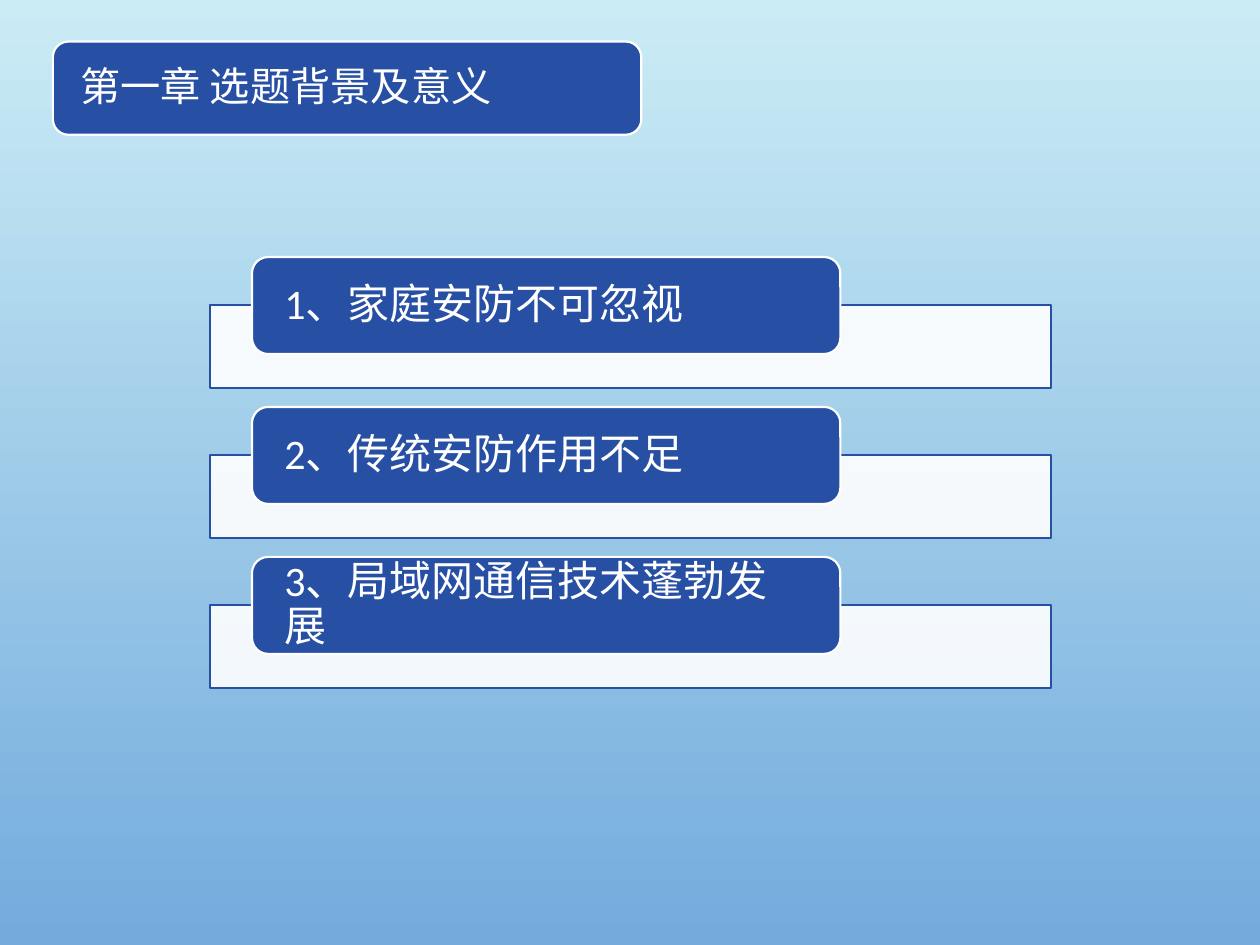
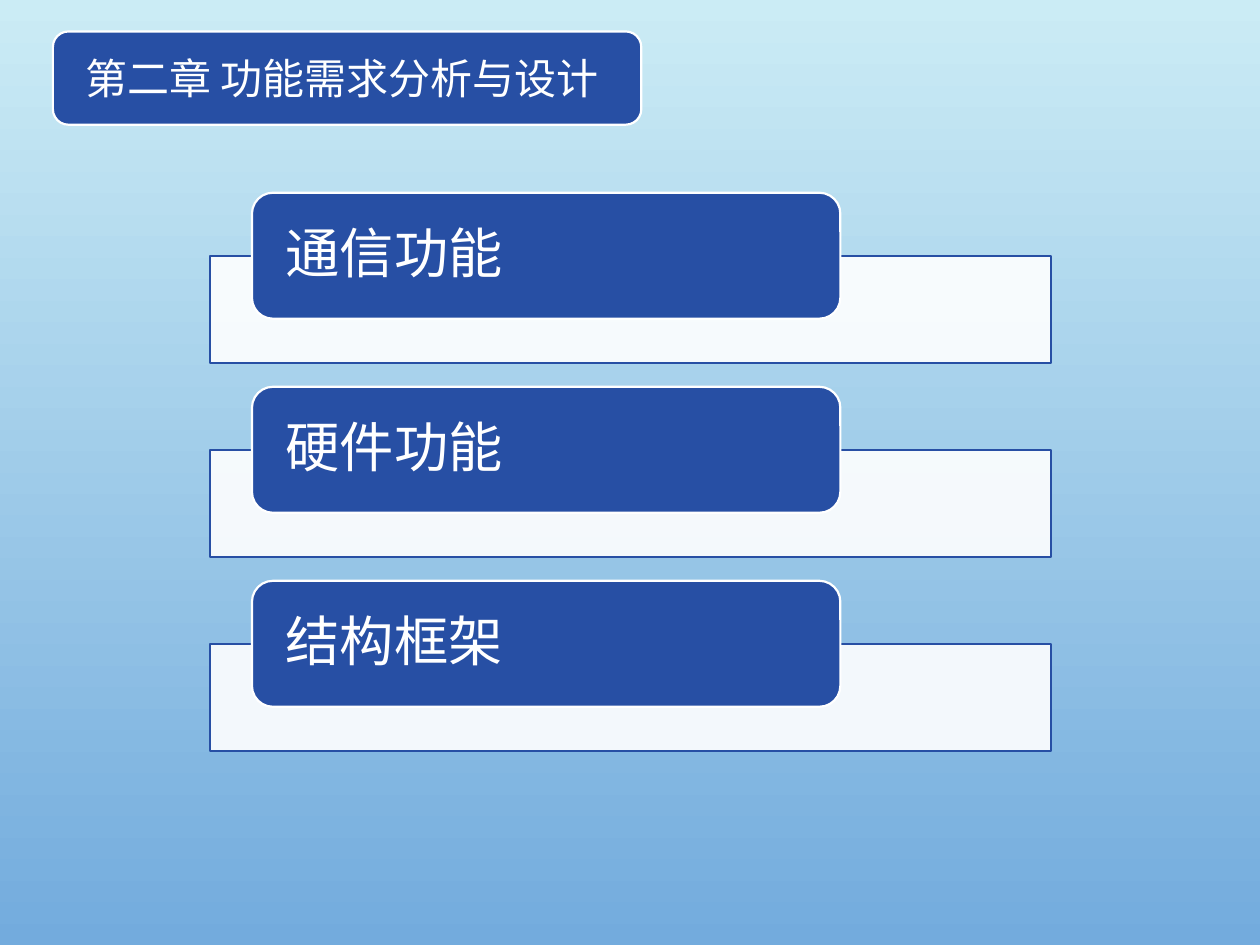
from lxml.etree import SubElement
from pptx import Presentation
from pptx.dml.color import RGBColor
from pptx.enum.shapes import MSO_SHAPE
from pptx.enum.text import MSO_ANCHOR, PP_ALIGN
from pptx.oxml.ns import qn
from pptx.util import Inches, Pt

SKY_TOP = RGBColor(0xCB, 0xEC, 0xF5)
SKY_BOTTOM = RGBColor(0x73, 0xAB, 0xDD)
BLUE = RGBColor(0x27, 0x4F, 0xA4)
WHITE = RGBColor(0xFF, 0xFF, 0xFF)

FONT = "Calibri"
LABEL_WIDTH = 4.67
INSET = 0.22

CHAPTERS = [
    {
        "title": "第一章 选题背景及意义",
        "title_top": 0.33, "title_size": 23, "title_inset": 0.18, "title_spacing": 0.9,
        "items": ["1、家庭安防不可忽视", "2、传统安防作用不足", "3、局域网通信技术蓬勃发展"],
        "first_top": 2.04, "step": 1.19, "label_height": 0.77,
        "bar_offset": 0.38, "bar_height": 0.66, "item_size": 24,
    },
    {
        "title": "第二章 功能需求分析与设计",
        "title_top": 0.25, "title_size": 24, "title_inset": 0.22, "title_spacing": 1.0,
        "items": ["通信功能", "硬件功能", "结构框架"],
        "first_top": 1.53, "step": 1.54, "label_height": 1,
        "bar_offset": 0.5, "bar_height": 0.85, "item_size": 31,
    },
]


def add_box(page, kind, left, top, width, height, fill, line):
    box = page.shapes.add_shape(kind, Inches(left), Inches(top), Inches(width), Inches(height))
    box.shadow.inherit = False
    box.fill.solid()
    box.fill.fore_color.rgb = fill
    box.line.color.rgb = line
    box.line.width = Pt(1.25)
    return box


def add_label(page, text, left, top, height, size, inset=INSET, spacing=0.9):
    label = add_box(page, MSO_SHAPE.ROUNDED_RECTANGLE, left, top, LABEL_WIDTH, height, BLUE, WHITE)
    frame = label.text_frame
    frame.text = text
    frame.word_wrap = True
    frame.vertical_anchor = MSO_ANCHOR.MIDDLE
    frame.margin_left = Inches(inset)
    frame.margin_right = Inches(INSET)
    frame.margin_top = frame.margin_bottom = 0
    para = frame.paragraphs[0]
    para.alignment = PP_ALIGN.LEFT
    para.line_spacing = spacing
    span = para.runs[0]
    span.font.name = FONT
    span.font.size = Pt(size)
    span.font.color.rgb = WHITE


deck = Presentation()
deck.slide_width = Inches(10)
deck.slide_height = Inches(7.5)

for chapter in CHAPTERS:
    page = deck.slides.add_slide(deck.slide_layouts[6])
    sky = page.background.fill
    sky.gradient()
    sky.gradient_angle = 270
    for stop, color in zip(sky.gradient_stops, (SKY_TOP, SKY_BOTTOM)):
        stop.color.rgb = color

    add_label(page, chapter["title"], 0.42, chapter["title_top"], 0.74,
              chapter["title_size"], chapter["title_inset"], chapter["title_spacing"])

    for index, item in enumerate(chapter["items"]):
        top = chapter["first_top"] + index * chapter["step"]
        bar = add_box(page, MSO_SHAPE.RECTANGLE, 1.67, top + chapter["bar_offset"],
                      6.67, chapter["bar_height"], WHITE, BLUE)
        bar_color = bar.fill._xPr.find(qn("a:solidFill"))[0]
        SubElement(bar_color, qn("a:alpha")).set("val", "90000")
        add_label(page, item, 2, top, chapter["label_height"], chapter["item_size"])

deck.save("out.pptx")
